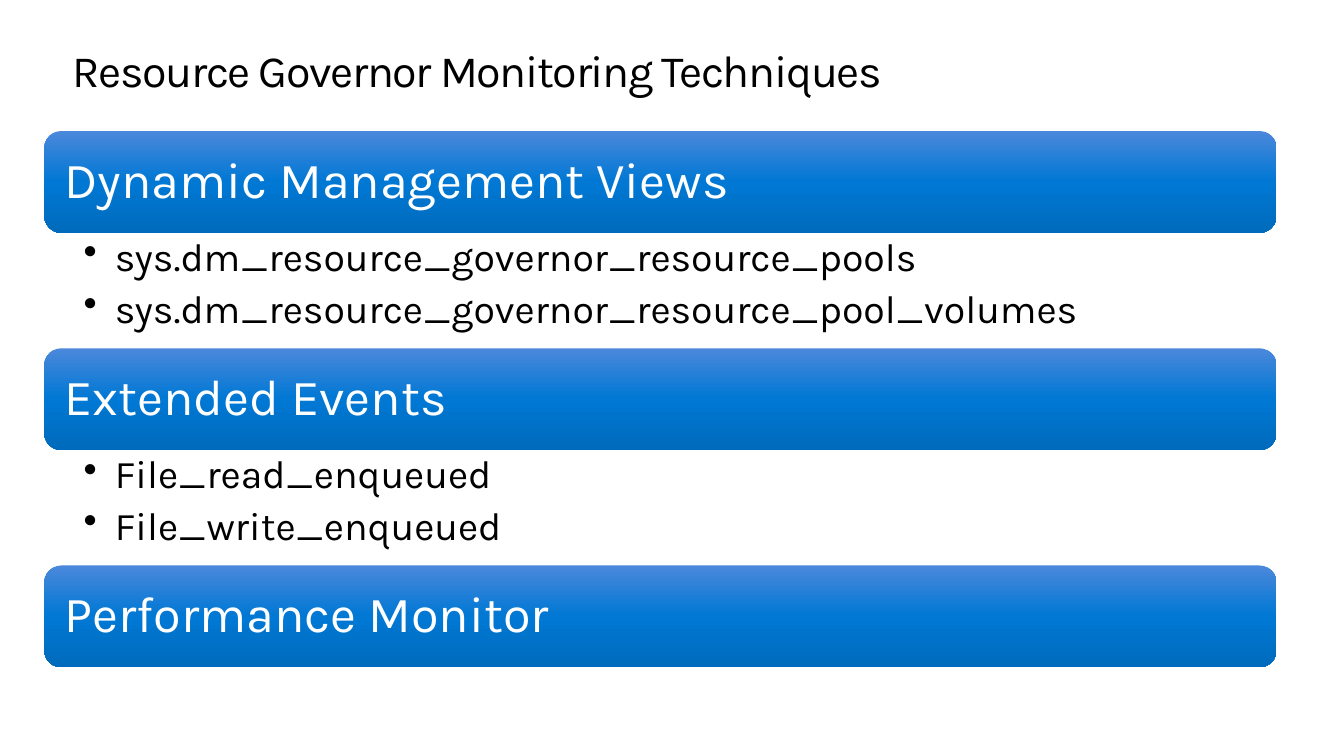
from copy import deepcopy
from dataclasses import dataclass

from lxml import etree
from pptx import Presentation
from pptx.dml.color import RGBColor
from pptx.enum.shapes import MSO_SHAPE
from pptx.enum.text import MSO_ANCHOR, PP_ALIGN
from pptx.oxml.ns import qn
from pptx.shapes.autoshape import Shape
from pptx.slide import Slide
from pptx.util import Inches, Pt

ROUND = MSO_SHAPE.ROUNDED_RECTANGLE
TOP, MIDDLE = MSO_ANCHOR.TOP, MSO_ANCHOR.MIDDLE
LEFT = PP_ALIGN.LEFT

BLACK = RGBColor(0x00, 0x00, 0x00)
WHITE = RGBColor(0xFF, 0xFF, 0xFF)
SHADES = (RGBColor(0x4B, 0x88, 0xDB), RGBColor(0x00, 0x78, 0xD4),
          RGBColor(0x00, 0x6B, 0xBC))

FACE = "Karla"
SIDE, WIDTH = 0.44, 12.22
START, STEP = 1.3, 2.155
BAR, LIST = 1.01, 1.14


@dataclass
class Topic:
    name: str
    items: tuple[str, ...] = ()


TOPICS = (
    Topic("Dynamic Management Views",
          ("sys.dm_resource_governor_resource_pools",
           "sys.dm_resource_governor_resource_pool_volumes")),
    Topic("Extended Events", ("File_read_enqueued", "File_write_enqueued")),
    Topic("Performance Monitor"),
)


def write(shape: Shape, *lines: str, size: float, color: RGBColor,
          inset: tuple[float, float, float, float],
          anchor: MSO_ANCHOR = TOP, pitch: float | Pt = 0.9,
          after: float = 0, track: float = 0, bullet: bool = False) -> None:
    """Fill a shape with one paragraph per line."""
    frame = shape.text_frame
    frame.word_wrap = True
    frame.vertical_anchor = anchor
    (frame.margin_left, frame.margin_top,
     frame.margin_right, frame.margin_bottom) = map(Inches, inset)
    for i, line in enumerate(lines):
        para = frame.add_paragraph() if i else frame.paragraphs[0]
        if bullet:
            props = para._p.get_or_add_pPr()
            props.set("marL", str(Inches(0.31)))
            props.set("indent", str(Inches(-0.31)))
            etree.SubElement(props, qn("a:buChar")).set("char", "•")
        para.alignment = LEFT
        para.line_spacing = pitch
        para.space_after = Pt(after)
        run = para.add_run()
        run.text = line
        run.font.name = FACE
        run.font.size = Pt(size)
        run.font.color.rgb = color
        if track:
            run._r.get_or_add_rPr().set("spc", str(round(track * 100)))


def shade(shape: Shape) -> None:
    """Apply the three-stop gradient, running from top to bottom."""
    fill = shape.fill
    fill.gradient()
    fill.gradient_angle = 270
    stops = shape._element.spPr.find(qn("a:gradFill")).find(qn("a:gsLst"))
    stops.append(deepcopy(stops[-1]))
    for i, (stop, color) in enumerate(zip(fill.gradient_stops, SHADES)):
        stop.position = i / 2
        stop.color.rgb = color


def add_box(slide: Slide, left: float, top: float,
            width: float, height: float) -> Shape:
    return slide.shapes.add_textbox(*map(Inches, (left, top, width, height)))


def add_topic(slide: Slide, topic: Topic, top: float) -> None:
    # Heading bar
    bar = slide.shapes.add_shape(
        ROUND, *map(Inches, (SIDE, top, WIDTH, BAR)))
    bar.shadow.inherit = False
    bar.line.fill.background()
    shade(bar)
    write(bar, topic.name, size=36, color=WHITE, anchor=MIDDLE,
          inset=(0.15, 0.15, 0.15, 0.15))
    # Bullets below it
    if topic.items:
        box = add_box(slide, SIDE, top + BAR, WIDTH, LIST)
        write(box, *topic.items, size=28, color=BLACK, after=6.5,
              bullet=True, inset=(0.39, 0.05, 0.28, 0.05))


def main() -> None:
    deck = Presentation()
    deck.slide_width, deck.slide_height = Inches(13.33), Inches(7.5)
    slide = deck.slides.add_slide(deck.slide_layouts[6])

    # Title
    title = add_box(slide, 0.72, 0.35, 11.9, 0.5)
    write(title, "Resource Governor Monitoring Techniques", size=32,
          color=BLACK, pitch=Pt(36.2), track=-1, inset=(0, 0.1, 0.16, 0.1))

    # Topics
    for i, topic in enumerate(TOPICS):
        add_topic(slide, topic, START + i * STEP)

    deck.save("out.pptx")


if __name__ == "__main__":
    main()
